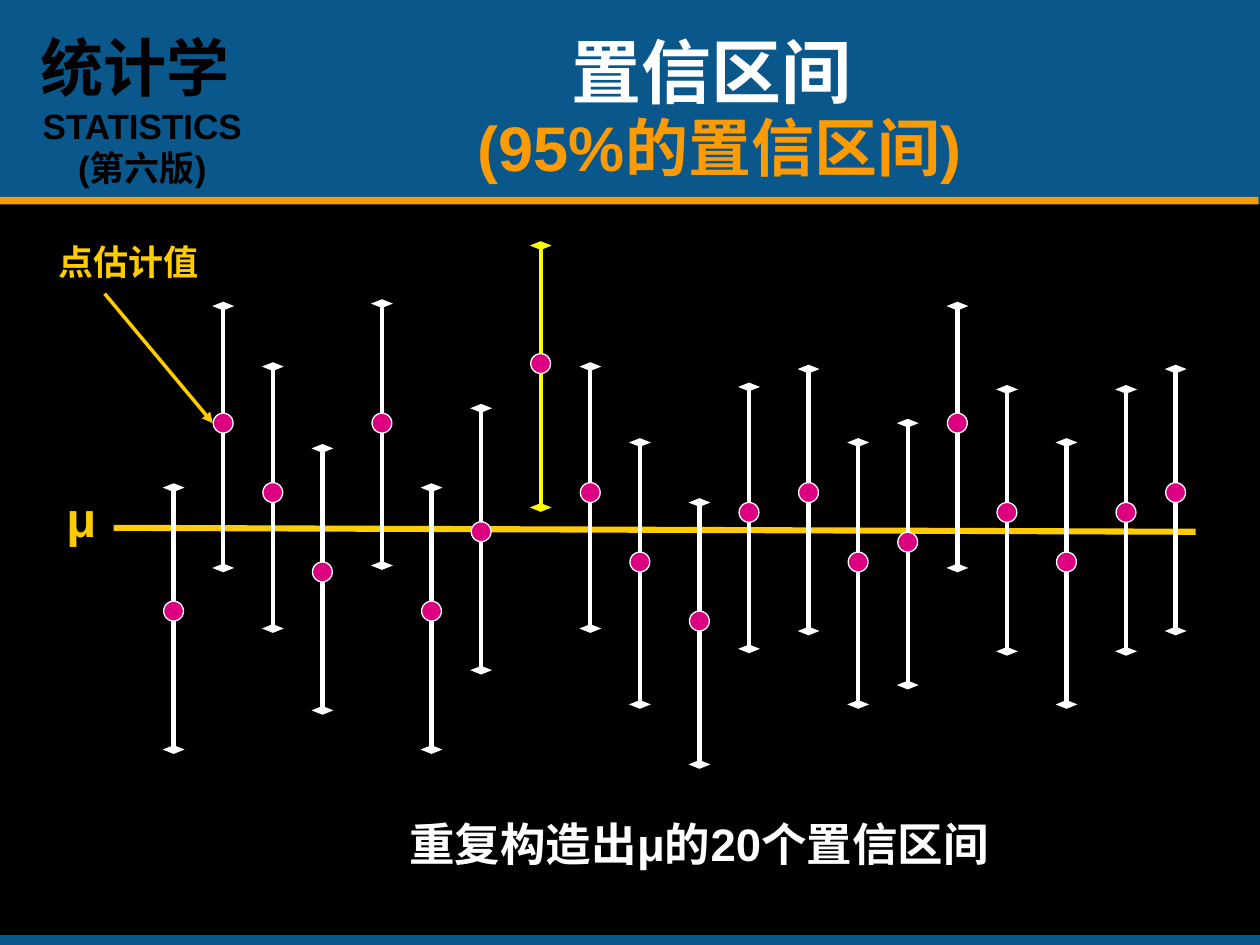
from lxml import etree
from pptx import Presentation
from pptx.dml.color import RGBColor
from pptx.enum.shapes import MSO_CONNECTOR, MSO_SHAPE
from pptx.enum.text import MSO_ANCHOR as ANCHOR, PP_ALIGN as ALIGN
from pptx.oxml.ns import qn
from pptx.util import Cm, Pt

BLUE = RGBColor(0x0A, 0x57, 0x8C)
ORANGE = RGBColor(0xFE, 0x9B, 0x03)
GOLD = RGBColor(0xFF, 0xCC, 0x00)
YELLOW = RGBColor(0xFA, 0xFD, 0x00)
PINK = RGBColor(0xDC, 0x00, 0x81)
WHITE = RGBColor(0xFF, 0xFF, 0xFF)
BLACK = RGBColor(0x00, 0x00, 0x00)

UPPER_ARM, INTERVAL_LENGTH, DOT = 2.44, 5.28, 0.4

# x, upper limit, point estimate (cm)
INTERVALS = [
    (3.5, 9.83, 12.32), (4.5, 6.17, 8.53), (5.5, 7.39, 9.93), (6.5, 9.04, 11.53),
    (7.7, 6.12, 8.53), (8.7, 9.83, 12.32), (9.7, 8.23, 10.72), (10.9, 4.95, 7.33),
    (11.9, 7.39, 9.93), (12.9, 8.92, 11.33), (14.1, 10.13, 12.52), (15.1, 7.8, 10.33),
    (16.3, 7.44, 9.93), (17.3, 8.92, 11.33), (18.3, 8.53, 10.93), (19.3, 6.17, 8.53),
    (20.3, 7.85, 10.33), (21.5, 8.92, 11.33), (22.7, 7.85, 10.33), (23.7, 7.44, 9.93),
]
MISSING_MU = 7  # the one interval that does not cover μ

prs = Presentation()
prs.slide_width, prs.slide_height = Cm(25.4), Cm(19.05)
s = prs.slides.add_slide(prs.slide_layouts[6])
s.background.fill.solid()
s.background.fill.fore_color.rgb = BLUE


def add_text(lines, left, top, width, height, align=ALIGN.CENTER,
             anchor=ANCHOR.TOP, wrap=True, spacing=None):
    """Add a text box; each line is (text, size, colour)."""
    tf = s.shapes.add_textbox(Cm(left), Cm(top), Cm(width), Cm(height)).text_frame
    tf.word_wrap, tf.vertical_anchor = wrap, anchor
    for i, (text, size, color) in enumerate(lines):
        p = tf.paragraphs[0] if i == 0 else tf.add_paragraph()
        p.alignment, p.line_spacing = align, spacing
        r = p.add_run()
        r.text = text
        r.font.name, r.font.size, r.font.bold = "Arial", Pt(size), True
        r.font.color.rgb = color


def add_line(x1, y1, x2, y2, color, width, head=None, tail=None):
    """Add a straight line; head and tail are (type, width, length) of its ends."""
    line = s.shapes.add_connector(MSO_CONNECTOR.STRAIGHT, Cm(x1), Cm(y1), Cm(x2), Cm(y2))
    line.line.color.rgb, line.line.width = color, Pt(width)
    ln = line.line._get_or_add_ln()
    for tag, end in (("a:headEnd", head), ("a:tailEnd", tail)):
        if end:
            etree.SubElement(ln, qn(tag), dict(zip(("type", "w", "len"), end)))
    etree.SubElement(line._element.spPr, qn("a:effectLst"))


# Header rule and black panel
for top, width, height, color in ((3.97, 25.37, 0.2, ORANGE), (4.12, 25.4, 14.73, BLACK)):
    sp = s.shapes.add_shape(MSO_SHAPE.RECTANGLE, 0, Cm(top), Cm(width), Cm(height))
    sp.shadow.inherit = False
    sp.fill.solid()
    sp.fill.fore_color.rgb = color
    sp.line.fill.background()

add_text([("统计学 ", 36, BLACK), ("STATISTICS", 20, BLACK), ("(第六版)", 20, BLACK)],
         0.43, 0.45, 4.88, 3.46)
add_text([("置信区间 ", 40, WHITE), ("(95%的置信区间)", 36, ORANGE)],
         5.08, 0.64, 18.85, 3.18, anchor=ANCHOR.MIDDLE, spacing=0.95)

# Mean line and the intervals around it
add_line(2.29, 10.64, 24.1, 10.72, GOLD, 3.5)
for i, (x, top, _) in enumerate(INTERVALS):
    color = YELLOW if i == MISSING_MU else WHITE
    for limit in (top, top + INTERVAL_LENGTH):
        add_line(x, limit, x, top + UPPER_ARM, color, 2.5,
                 head=("diamond", "lg", "sm"), tail=("oval", "sm", "sm"))

add_text([("重复构造出μ的20个置信区间", 26, WHITE)], 7.49, 16.33, 13.21, 1.37)
add_text([("μ", 28, GOLD)], 1.09, 9.73, 1.07, 1.45, align=ALIGN.LEFT, wrap=False)
add_text([("点估计值", 20, GOLD)], 0.69, 4.72, 3.81, 1.12)
add_line(2.11, 5.92, 4.29, 8.53, GOLD, 2, tail=("triangle", "med", "med"))

# Point estimates
for x, _, y in INTERVALS:
    sp = s.shapes.add_shape(MSO_SHAPE.OVAL, Cm(x - DOT / 2), Cm(y - DOT / 2), Cm(DOT), Cm(DOT))
    sp.shadow.inherit = False
    sp.fill.solid()
    sp.fill.fore_color.rgb = PINK
    sp.line.color.rgb, sp.line.width = WHITE, Pt(0.75)

prs.save("out.pptx")
